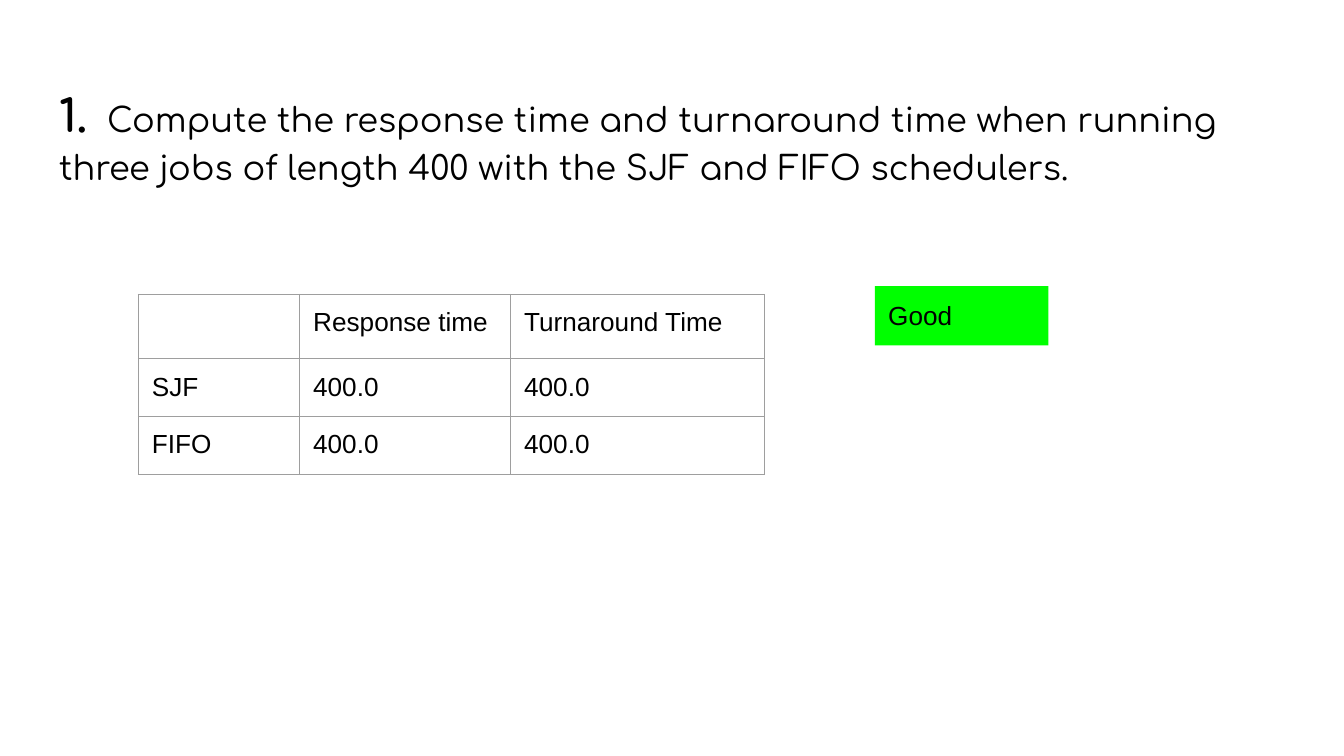
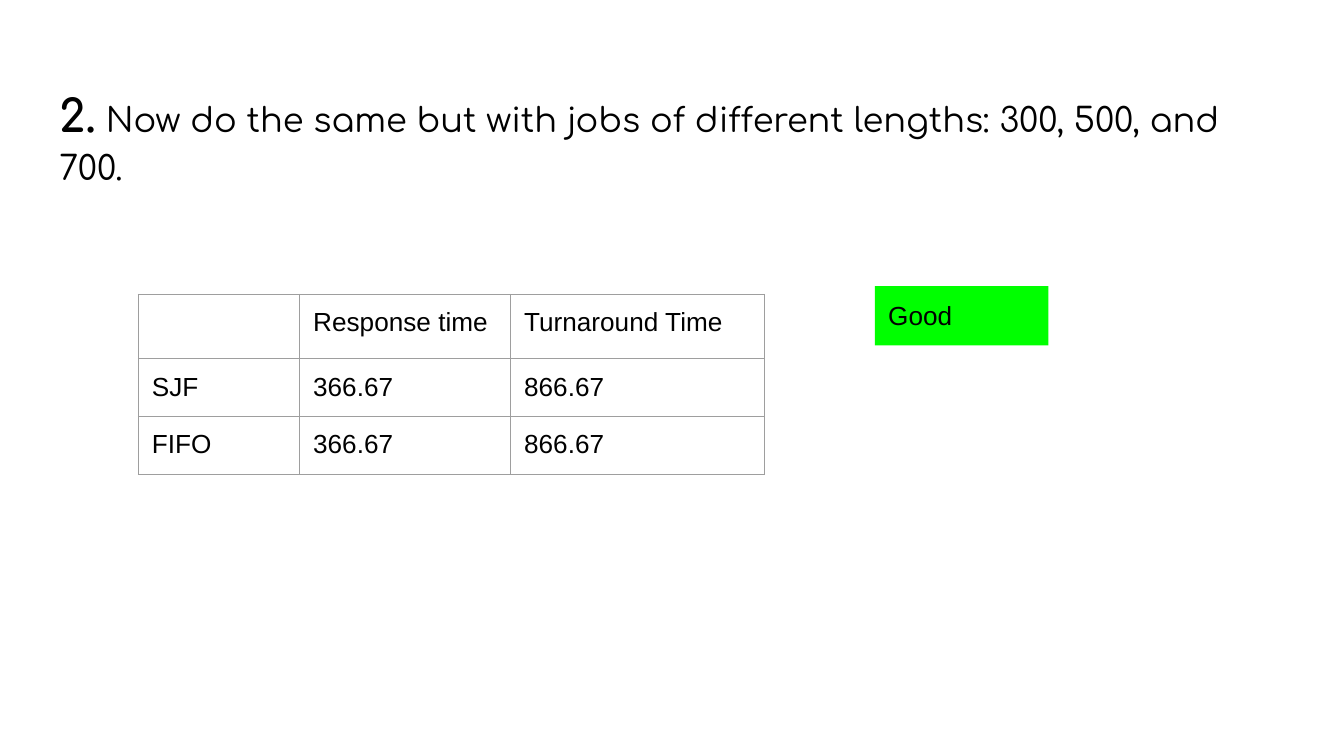
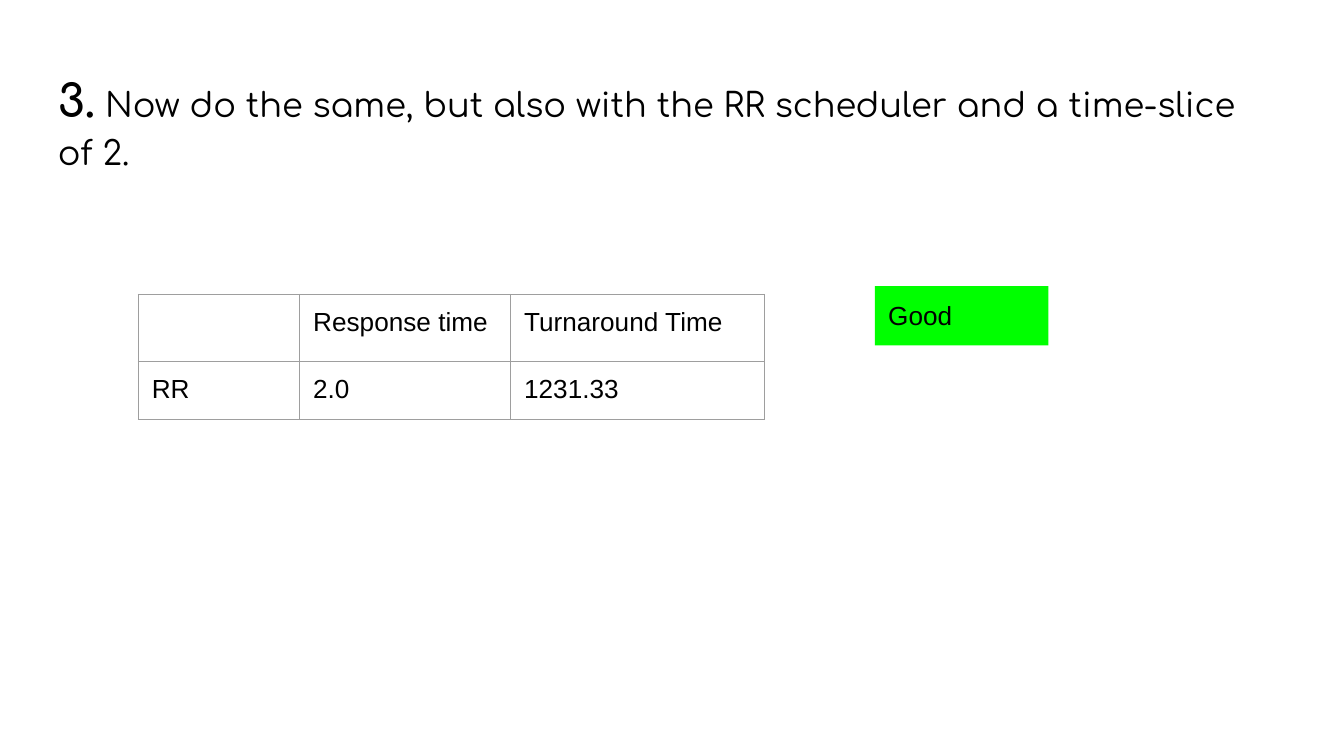
import pptx
import pptx.dml.color
import pptx.enum.shapes
import pptx.enum.text
import pptx.oxml
import pptx.oxml.ns
import pptx.util
from pptx.util import Inches

BLACK = "000000"
GRID = "9E9E9E"
GREEN = "00FF00"
TITLE_FONT = "Comfortaa"
BODY_FONT = "Arial"
INSET = 0.1

TABLE_ORIGIN = (1.03, 2.19)
COLUMN_WIDTHS = (1.2, 1.57, 1.89)
ROW_HEIGHT = 0.43
HEADINGS = ("", "Response time", "Turnaround Time")
VERDICT_BOX = (6.51, 2.13, 1.29, 0.44)

QUESTIONS = [
    {
        "number": "1.",
        "text": "  Compute the response time and turnaround time when running "
                "three jobs of length 400 with the SJF and FIFO schedulers.",
        "title_box": (0.34, 0.49, 9.32, 3.41),
        "header_height": 0.48,
        "results": [("SJF", "400.0", "400.0"), ("FIFO", "400.0", "400.0")],
    },
    {
        "number": "2.",
        "text": " Now do the same but with jobs of different lengths: "
                "300, 500, and 700.",
        "title_box": (0.34, 0.49, 9.32, 5.01),
        "header_height": 0.48,
        "results": [("SJF", "366.67", "866.67"), ("FIFO", "366.67", "866.67")],
    },
    {
        "number": "3.",
        "text": " Now do the same, but also with the RR scheduler "
                "and a time-slice of 2.",
        "title_box": (0.33, 0.38, 9.12, 2.71),
        "header_height": 0.5,
        "results": [("RR", "2.0", "1231.33")],
    },
]


def rgb(color):
    return pptx.dml.color.RGBColor.from_string(color)


def style_font(font, name, size, bold=False):
    font.name = name
    font.size = pptx.util.Pt(size)
    font.bold = bold
    font.color.rgb = rgb(BLACK)


def set_insets(holder):
    holder.margin_left = holder.margin_right = Inches(INSET)
    holder.margin_top = holder.margin_bottom = Inches(INSET)


def write_label(frame, text):
    paragraph = frame.paragraphs[0]
    paragraph.text = text
    paragraph.alignment = pptx.enum.text.PP_ALIGN.LEFT
    style_font(paragraph.font, BODY_FONT, 14)


def add_question(slide, box, number, text):
    title = slide.shapes.title
    title.left, title.top, title.width, title.height = map(Inches, box)
    frame = title.text_frame
    frame.word_wrap = True
    frame.auto_size = pptx.enum.text.MSO_AUTO_SIZE.NONE
    frame.vertical_anchor = pptx.enum.text.MSO_ANCHOR.TOP
    set_insets(frame)
    paragraph = frame.paragraphs[0]
    paragraph.alignment = pptx.enum.text.PP_ALIGN.LEFT
    paragraph.line_spacing = 1.15
    for content, size, bold in ((number, 24, True), (text, 18, False)):
        run = paragraph.add_run()
        run.text = content
        style_font(run.font, TITLE_FONT, size, bold)


def add_borders(cell):
    properties = cell._tc.get_or_add_tcPr()
    for side in ("lnL", "lnR", "lnT", "lnB"):
        properties.append(pptx.oxml.parse_xml(
            f'<a:{side} {pptx.oxml.ns.nsdecls("a")} w="{pptx.util.Pt(0.75)}">'
            f'<a:solidFill><a:srgbClr val="{GRID}"/></a:solidFill></a:{side}>'))


def add_results(slide, origin, header_height, results):
    rows = [HEADINGS, *results]
    heights = [header_height] + [ROW_HEIGHT] * len(results)
    box = (*origin, sum(COLUMN_WIDTHS), sum(heights))
    table = slide.shapes.add_table(
        len(rows), len(HEADINGS), *map(Inches, box)).table
    table.first_row = False
    table.horz_banding = False
    for column, width in zip(table.columns, COLUMN_WIDTHS):
        column.width = Inches(width)
    for row, height, values in zip(table.rows, heights, rows):
        row.height = Inches(height)
        for cell, value in zip(row.cells, values):
            set_insets(cell)
            add_borders(cell)
            cell.fill.background()
            write_label(cell.text_frame, value)


def add_verdict(slide, box, text):
    verdict = slide.shapes.add_shape(
        pptx.enum.shapes.MSO_SHAPE.RECTANGLE, *map(Inches, box))
    verdict.shadow.inherit = False
    verdict.fill.solid()
    verdict.fill.fore_color.rgb = rgb(GREEN)
    verdict.line.fill.background()
    frame = verdict.text_frame
    frame.word_wrap = True
    frame.auto_size = pptx.enum.text.MSO_AUTO_SIZE.SHAPE_TO_FIT_TEXT
    frame.vertical_anchor = pptx.enum.text.MSO_ANCHOR.TOP
    set_insets(frame)
    write_label(frame, text)


def add_question_slide(deck, question):
    slide = deck.slides.add_slide(deck.slide_layouts[5])
    add_question(slide, question["title_box"], question["number"],
                 question["text"])
    add_results(slide, TABLE_ORIGIN, question["header_height"],
                question["results"])
    add_verdict(slide, VERDICT_BOX, "Good")


def main():
    deck = pptx.Presentation()
    deck.slide_width = Inches(10)
    deck.slide_height = Inches(10 * 9 / 16)
    for question in QUESTIONS:
        add_question_slide(deck, question)
    deck.save("out.pptx")


if __name__ == "__main__":
    main()
